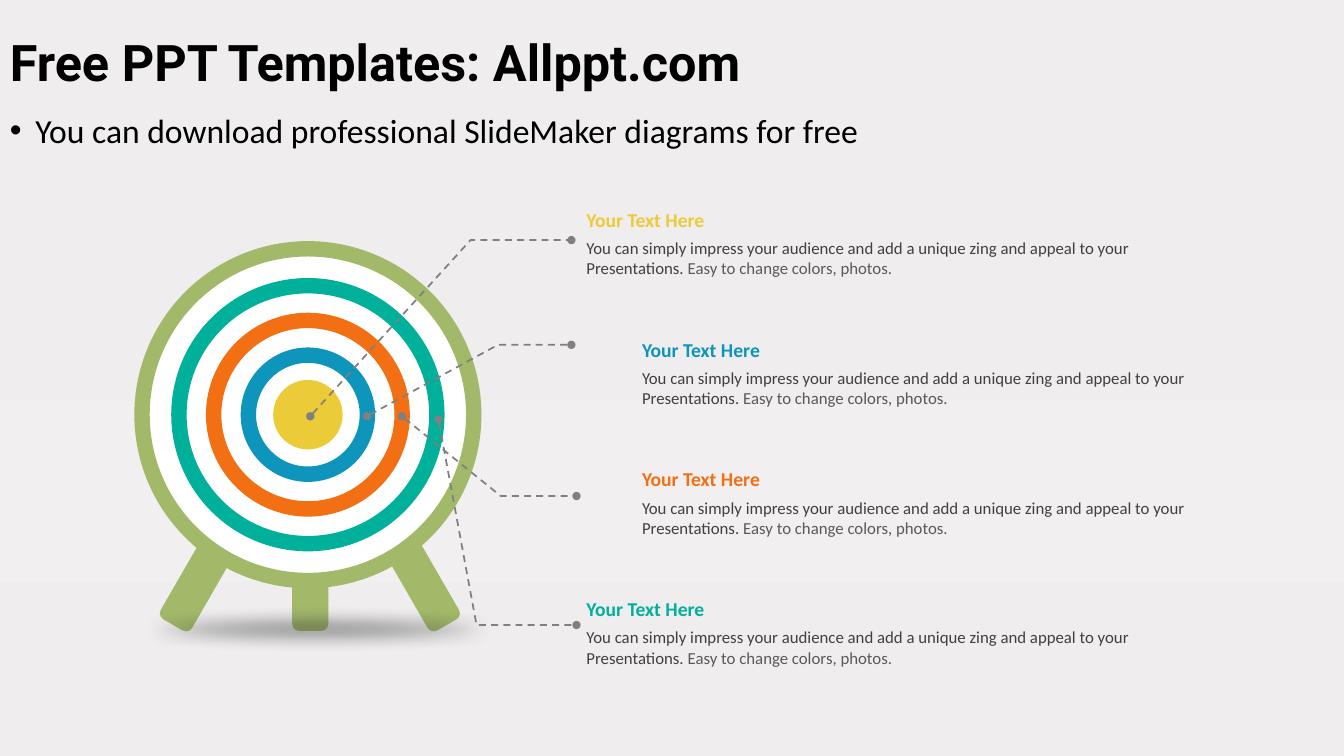
import pptx
import pptx.dml.color
import pptx.enum.dml
import pptx.enum.shapes
import pptx.enum.text
import pptx.oxml
import pptx.oxml.ns
import pptx.util

Cm = pptx.util.Cm
Pt = pptx.util.Pt
RGBColor = pptx.dml.color.RGBColor
Shape = pptx.enum.shapes.MSO_SHAPE
Anchor = pptx.enum.text.MSO_ANCHOR

BLACK = RGBColor(0x00, 0x00, 0x00)
WHITE = RGBColor(0xFF, 0xFF, 0xFF)
GREEN = RGBColor(0xA2, 0xB9, 0x69)
TEAL = RGBColor(0x00, 0xB0, 0x9B)
ORANGE = RGBColor(0xF3, 0x6F, 0x13)
BLUE = RGBColor(0x0D, 0x95, 0xBC)
YELLOW = RGBColor(0xEB, 0xCB, 0x38)
DARK_GREY = RGBColor(0x40, 0x40, 0x40)
MID_GREY = RGBColor(0x59, 0x59, 0x59)
LINE_GREY = RGBColor(0x80, 0x80, 0x80)
BACKGROUND_STOPS = [
    (0, RGBColor(0xEF, 0xED, 0xEE)),
    (53, RGBColor(0xF1, 0xEF, 0xF0)),
    (77, RGBColor(0xEF, 0xED, 0xEE)),
    (100, RGBColor(0xEF, 0xEB, 0xEC)),
]

CAPTION_PITCH = 3.27
BODY_TEXT = ("You can simply impress your audience and add a unique zing "
             "and appeal to your Presentations. ")
BODY_ENDING = "Easy to change colors, photos."


def xml(markup):
    namespace = pptx.oxml.ns.nsdecls("a")
    return pptx.oxml.parse_xml(markup.replace("/>", f" {namespace}/>", 1)
                               if markup.endswith("/>") and markup.count("<") == 1
                               else markup.replace(">", f" {namespace}>", 1))


def paint_background(slide):
    fill = slide.background.fill
    fill.gradient()
    fill.gradient_angle = 270
    stops = slide.background._cSld.find(".//" + pptx.oxml.ns.qn("a:gsLst"))
    for stop in list(stops):
        stops.remove(stop)
    for position, color in BACKGROUND_STOPS:
        stops.append(xml(f'<a:gs pos="{position * 1000}">'
                         f'<a:srgbClr val="{color}"/></a:gs>'))


def add_text(shapes, left, top, width, height, anchor=Anchor.TOP):
    """Add a wrapping text box and return its first paragraph."""
    box = shapes.add_textbox(Cm(left), Cm(top), Cm(width), Cm(height))
    box.text_frame.word_wrap = True
    box.text_frame.vertical_anchor = anchor
    return box.text_frame.paragraphs[0]


def set_font(font, name, size, color, bold=False):
    font.name, font.size, font.bold = name, Pt(size), bold
    font.color.rgb = color


def add_centred(shapes, kind, x, y, width, height, fill):
    """Add a preset shape without outline, centred on x, y."""
    shape = shapes.add_shape(kind, Cm(x - width / 2), Cm(y - height / 2),
                             Cm(width), Cm(height))
    shape.shadow.inherit = False
    shape.fill.solid()
    shape.fill.fore_color.rgb = fill
    shape.line.fill.background()
    return shape


def add_heading(slide, left, top, width):
    title = add_text(slide.shapes, left, top, width, 2.16, Anchor.MIDDLE)
    title.text = "Free PPT Templates: Allppt.com"
    title.line_spacing = 0.9
    set_font(title.font, "Roboto", 36, BLACK, True)

    subtitle = add_text(slide.shapes, left, top + 2.23, width, 1.17, Anchor.MIDDLE)
    subtitle.text = "You can download professional SlideMaker diagrams for free"
    subtitle.line_spacing = 0.8
    properties = subtitle._p.get_or_add_pPr()
    properties.set("marL", str(Cm(0.64)))
    properties.set("indent", str(-Cm(0.64)))
    properties.append(xml('<a:buFont typeface="Arial"/>'))
    properties.append(xml('<a:buChar char="•"/>'))
    set_font(subtitle.font, "Calibri", 24, BLACK)


def add_target(slide, x, y):
    """Draw the target with its rings centred on x, y."""
    shapes = slide.shapes.add_group_shape().shapes

    # Legs: offset from the centre and rotation
    for dx, dy, rotation in [(0.06, 2.59, 0), (2.07, 2.82, 330), (-1.97, 2.82, 30)]:
        leg = add_centred(shapes, Shape.ROUNDED_RECTANGLE,
                          x + dx, y + dy, 0.91, 5.72, GREEN)
        leg.adjustments[0] = 0.19
        leg.rotation = rotation

    # Rings from the outside in, then the bullseye
    for diameter, color in [(8.36, GREEN), (6.5, TEAL), (4.75, ORANGE), (3, BLUE)]:
        ring = add_centred(shapes, Shape.OVAL, x, y, diameter, diameter, WHITE)
        ring.line.color.rgb = color
        ring.line.width = Pt(11)
    add_centred(shapes, Shape.OVAL, x, y, 1.75, 1.75, YELLOW)

    # Soft shadow on the ground
    ground = add_centred(shapes, Shape.OVAL, x + 0.25, y + 5.41, 12.73, 1.24, DARK_GREY)
    properties = ground._element.spPr
    color = properties.find(".//" + pptx.oxml.ns.qn("a:srgbClr"))
    color.append(xml('<a:alpha val="58000"/>'))
    effects = properties.find(pptx.oxml.ns.qn("a:effectLst"))
    effects.append(xml(f'<a:softEdge rad="{Pt(12.5)}"/>'))


def add_caption(slide, left, top, color):
    shapes = slide.shapes.add_group_shape().shapes
    heading = add_text(shapes, left, top, 15.65, 0.86)
    heading.text = "Your Text Here"
    set_font(heading.font, "Calibri", 14, color, True)

    body = add_text(shapes, left, top + 0.76, 15.65, 1.27)
    for text, text_color in [(BODY_TEXT, DARK_GREY), (BODY_ENDING, MID_GREY)]:
        run = body.add_run()
        run.text = text
        set_font(run.font, "Calibri", 12, text_color)


def add_pointer(slide, points):
    """Draw a dashed line through the points, with a dot at each end."""
    start, *others = [(Cm(x), Cm(y)) for x, y in points]
    builder = slide.shapes.build_freeform(*start)
    builder.add_line_segments(others, close=False)
    pointer = builder.convert_to_shape()
    pointer.shadow.inherit = False
    pointer.fill.background()
    pointer.line.color.rgb = LINE_GREY
    pointer.line.width = Pt(1.25)
    pointer.line.dash_style = pptx.enum.dml.MSO_LINE.DASH
    line = pointer.line._get_or_add_ln()
    line.append(xml('<a:headEnd type="oval"/>'))
    line.append(xml('<a:tailEnd type="oval"/>'))


def main():
    presentation = pptx.Presentation()
    presentation.slide_width = Cm(33.87)
    presentation.slide_height = Cm(19.05)
    slide = presentation.slides.add_slide(presentation.slide_layouts[6])

    paint_background(slide)
    add_heading(slide, 0, 0.56, 33.87)
    add_target(slide, 7.76, 10.45)

    captions = [(14.53, YELLOW), (15.93, BLUE), (15.93, ORANGE), (14.53, TEAL)]
    for index, (left, color) in enumerate(captions):
        add_caption(slide, left, 5.11 + index * CAPTION_PITCH, color)

    # Pointers: start on the target, bend, end beside the caption
    for start, bend, end_x in [
        ((7.82, 10.49), (11.86, 6.05), 14.4),
        ((9.25, 10.49), (12.55, 8.69), 14.4),
        ((10.13, 10.49), (12.62, 12.5), 14.53),
        ((11.05, 10.57), (12.01, 15.75), 14.53),
    ]:
        add_pointer(slide, [start, bend, (end_x, bend[1])])

    presentation.save("out.pptx")


if __name__ == "__main__":
    main()
